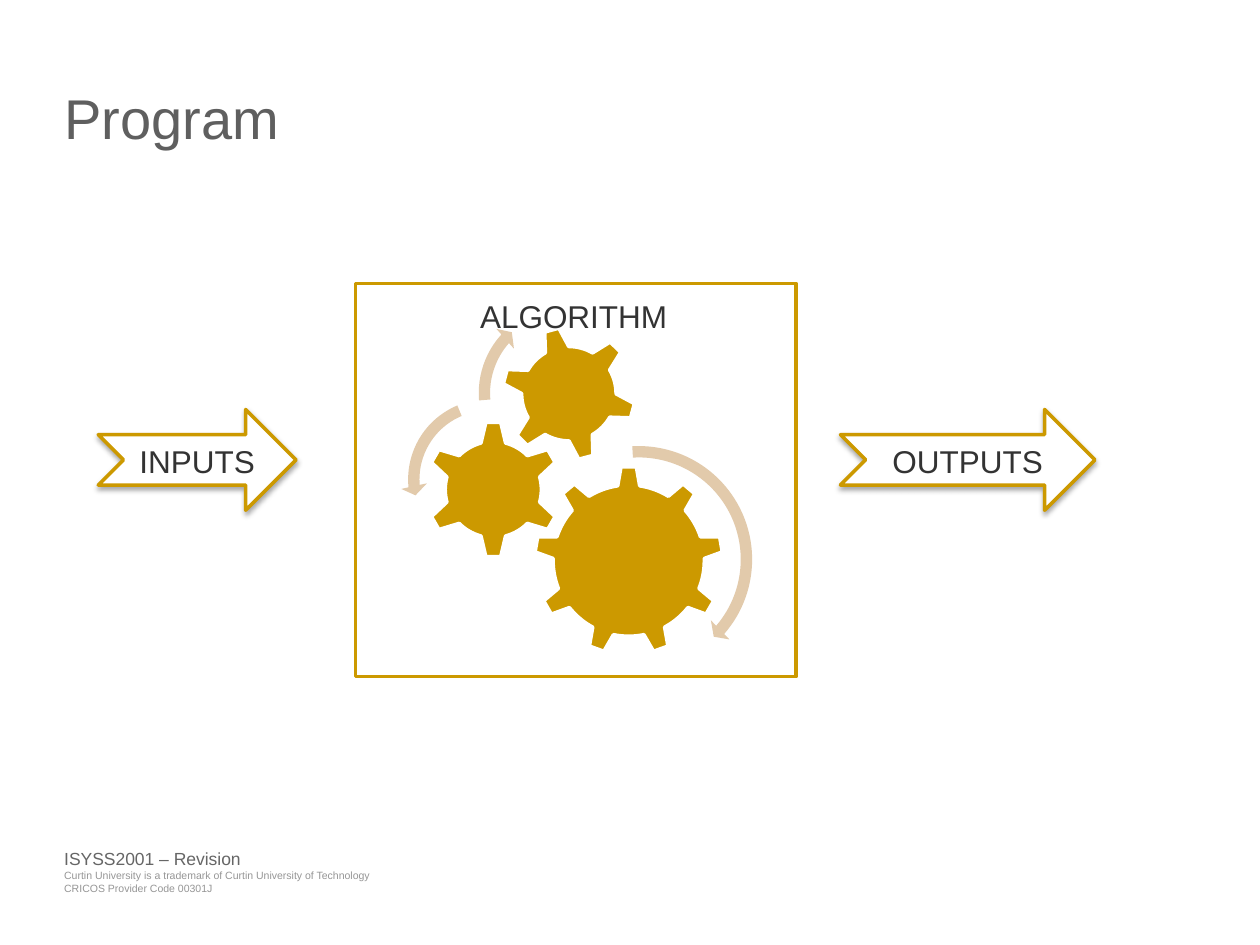
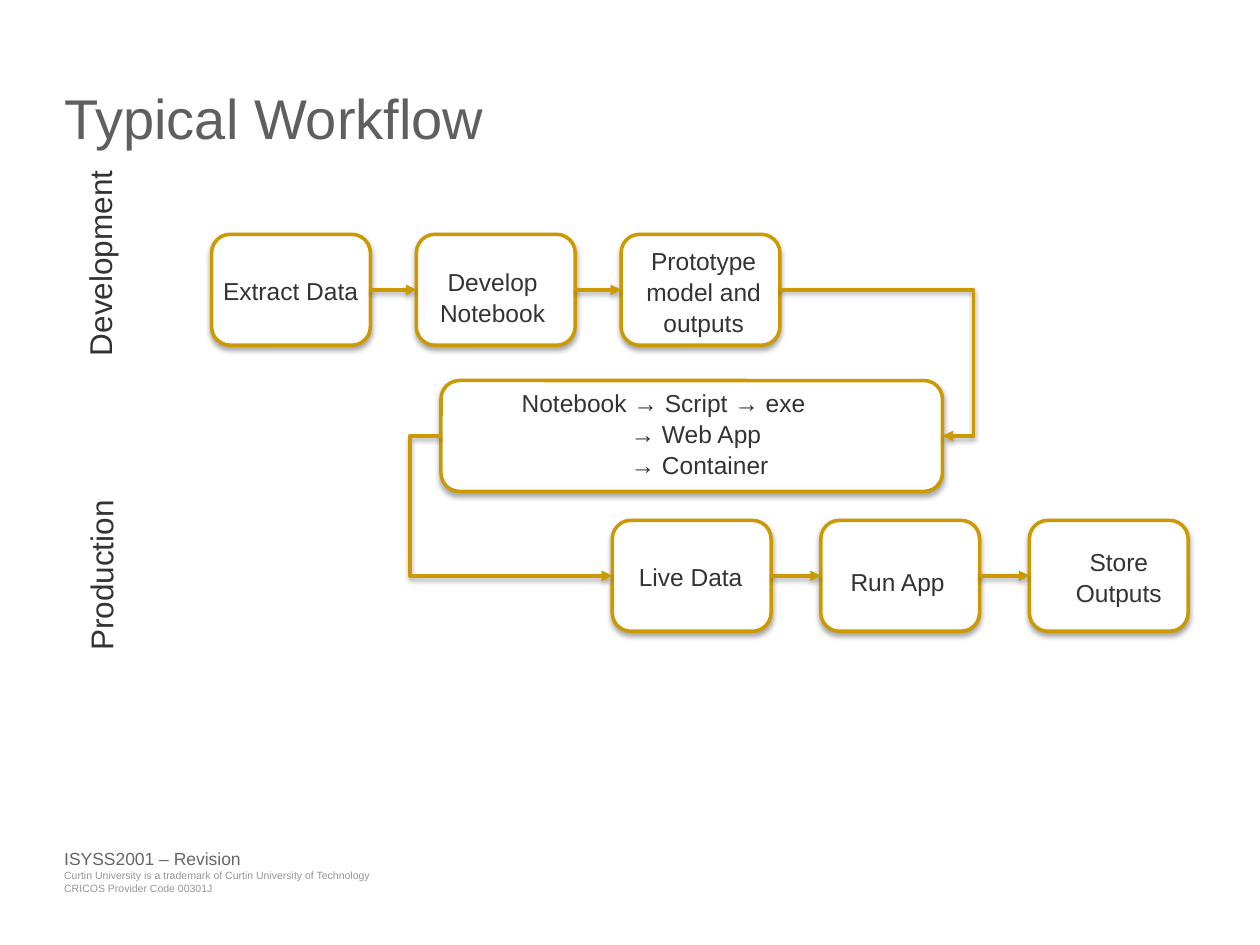
from dataclasses import dataclass
from lxml.etree import SubElement
from pptx import Presentation
from pptx.dml.color import RGBColor
from pptx.enum.shapes import MSO_CONNECTOR as LINK, MSO_SHAPE as SHAPE
from pptx.enum.text import MSO_ANCHOR as ANCHOR, PP_ALIGN as ALIGN
from pptx.oxml.ns import qn
from pptx.util import Inches, Pt

UNIT = Inches(10) // 100
COLS, ROWS = 100, 75


@dataclass(frozen=True)
class Theme:
    """Colours, type sizes and line settings shared by the slides."""
    font: str = "Arial"
    gold: str = "CC9900"
    sand: str = "E2CAAB"
    white: str = "FFFFFF"
    title: str = "5F5F5F"
    text: str = "333333"
    course: str = "666666"
    legal: str = "969696"
    title_size: int = 32
    label_size: int = 18
    step_size: int = 14
    course_size: int = 10
    legal_size: int = 6
    line_width: int = 2
    spacing: float = 1.05
    title_spacing: float = 1.1


T = Theme()


def grid(*cells):
    """Turn columns and rows of the slide grid into lengths."""
    return [round(c * UNIT) for c in cells]


def rgb(colour):
    """Return a colour object for a hex name."""
    return RGBColor.from_string(colour)


def apply(target, values):
    """Set each named attribute on the target."""
    for name, value in values.items():
        setattr(target, name, value)


def add_effects(sp, shadow):
    """Give a shape or connector a soft drop shadow or none."""
    effects = SubElement(sp._element.spPr, qn("a:effectLst"))
    if shadow:
        outer = SubElement(effects, qn("a:outerShdw"), blurRad="38100",
                           dist="23000", dir="5400000", rotWithShape="0")
        black = SubElement(outer, qn("a:srgbClr"), val="000000")
        SubElement(black, qn("a:alpha"), val="35000")


def write(tf, lines, size, colour=T.text, align=ALIGN.LEFT, inset=0.5,
          wrap=True, anchor=ANCHOR.TOP, spacing=T.spacing, indent=0):
    """Fill a text frame, indenting every line after the first."""
    margin = round(inset * UNIT)
    sides = ("left", "top", "right", "bottom")
    apply(tf, {f"margin_{side}": margin for side in sides})
    apply(tf, {"word_wrap": wrap, "vertical_anchor": anchor})
    for i, line in enumerate(lines):
        p = tf.add_paragraph() if i else tf.paragraphs[0]
        apply(p, {"alignment": align, "line_spacing": spacing})
        if i and indent:
            p._p.get_or_add_pPr().set("marL", str(round(indent * UNIT)))
        r = p.add_run()
        r.text = line
        apply(r.font, {"name": T.font, "size": Pt(size)})
        r.font.color.rgb = rgb(colour)


def add_text(s, at, lines, size, rotation=0, **style):
    """Add a text box at a grid place."""
    sp = s.shapes.add_textbox(*grid(*at))
    sp.rotation = rotation
    write(sp.text_frame, lines, size, **style)


def add_figure(s, kind, at, fill=None, line=None, shadow=False, turn=0, adj=()):
    """Add a preset shape at a grid place."""
    sp = s.shapes.add_shape(kind, *grid(*at))
    for i, value in enumerate(adj):
        sp.adjustments[i] = value
    sp.rotation = turn
    if fill:
        sp.fill.solid()
        sp.fill.fore_color.rgb = rgb(fill)
    else:
        sp.fill.background()
    if line:
        sp.line.color.rgb = rgb(line)
        sp.line.width = Pt(T.line_width)
    else:
        sp.line.fill.background()
    if shadow:
        add_effects(sp, True)
    else:
        sp.shadow.inherit = False
    return sp


def add_flow_arrow(s, at, label):
    """Add a labelled notched arrow."""
    sp = add_figure(s, SHAPE.NOTCHED_RIGHT_ARROW, at, T.white, T.gold, True)
    write(sp.text_frame, [label], T.label_size, align=ALIGN.CENTER,
          anchor=ANCHOR.MIDDLE)


def add_step(s, left, top, width=12.6):
    """Add an outlined, rounded workflow box."""
    return add_figure(s, SHAPE.ROUNDED_RECTANGLE, (left, top, width, 8.8),
                      T.white, T.gold, True)


def style_connector(cn):
    """Give a connector the gold line, shadow and arrowhead."""
    cn.line.color.rgb = rgb(T.gold)
    cn.line.width = Pt(T.line_width)
    SubElement(cn.line._get_or_add_ln(), qn("a:tailEnd"), type="triangle")
    add_effects(cn, True)


def join_row(s, steps):
    """Link neighbouring boxes from left to right."""
    for start, end in zip(steps, steps[1:]):
        cn = s.shapes.add_connector(LINK.STRAIGHT, 0, 0, 0, 0)
        cn.begin_connect(start, 3)
        cn.end_connect(end, 1)
        style_connector(cn)


def add_elbow(s, start, end, bend):
    """Add a bent arrow whose middle leg sits at a share of its width."""
    points = [v for x, sp in (start, end) for v in (x, sp.top + sp.height // 2)]
    cn = s.shapes.add_connector(LINK.ELBOW, *points)
    geometry = cn._element.spPr.find(qn("a:prstGeom"))
    guides = geometry.find(qn("a:avLst"))
    if guides is None:
        guides = SubElement(geometry, qn("a:avLst"))
    SubElement(guides, qn("a:gd"), name="adj1", fmla=f"val {round(bend * 100000)}")
    style_connector(cn)


def new_slide(prs, title):
    """Add a blank slide with the shared title and footer."""
    s = prs.slides.add_slide(prs.slide_layouts[6])
    add_text(s, (5.1, 68.9, 24.6, 1.6),
             ["Curtin University is a trademark of Curtin University of Technology",
              "CRICOS Provider Code 00301J"],
             T.legal_size, colour=T.legal, inset=0, wrap=False)
    add_text(s, (5.1, 67.2, 14.1, 1.7), ["ISYSS2001 – Revision"],
             T.course_size, colour=T.course, inset=0, wrap=False)
    add_text(s, (5.1, 6.1, 89.8, 10.9), [title], T.title_size,
             colour=T.title, inset=0, spacing=T.title_spacing)
    return s


def build_program(prs):
    """Show inputs passing through an algorithm to outputs."""
    s = new_slide(prs, "Program")
    add_flow_arrow(s, (7.8, 32.5, 15.7, 8), "INPUTS")
    add_flow_arrow(s, (66.7, 32.5, 20.2, 8), "OUTPUTS")
    gears = [(SHAPE.GEAR_9, 42.4, 37, 15, 0),
             (SHAPE.GEAR_6, 33.7, 33.4, 10.9, 0),
             (SHAPE.GEAR_6, 39.8, 25.9, 10.7, 345)]
    for kind, x, y, size, turn in gears:
        add_figure(s, kind, (x, y, size, size), T.gold, T.white, turn=turn)
    spins = [(SHAPE.CIRCULAR_ARROW, 41.1, 34.8, 19.2,
              (0.047, 2.99, 24.539, 160.027, 0.055)),
             (SHAPE.LEFT_CIRCULAR_ARROW, 31.8, 31.1, 13.9,
              (0.065, 4.3, 104.891, 148.378, 0.075)),
             (SHAPE.CIRCULAR_ARROW, 37.4, 23.7, 15,
              (0.06, 3.941, 133.138, 105.082, 0.07))]
    for kind, x, y, size, adj in spins:
        add_figure(s, kind, (x, y, size, size), T.sand, adj=adj)
    add_figure(s, SHAPE.RECTANGLE, (28.2, 22.5, 35, 31.2), line=T.gold)
    add_text(s, (37.6, 22.9, 16.1, 4), ["ALGORITHM"], T.label_size)


def build_workflow(prs):
    """Show the steps from development to production."""
    s = new_slide(prs, "Typical Workflow")
    for at, phase in [((-0.2, 18.8, 15.9, 4), "Development"),
                      ((1.3, 43.6, 13.1, 4), "Production")]:
        add_text(s, at, [phase], T.label_size, rotation=270, wrap=False)
    develop = [add_step(s, 16.8 + 16.25 * i, 18.6) for i in range(3)]
    produce = [add_step(s, 48.6 + 16.55 * i, 41.3) for i in range(3)]
    package = add_step(s, 35, 30.2, 39.8)
    join_row(s, develop)
    join_row(s, produce)
    last, first = develop[-1], produce[0]
    add_elbow(s, (last.left + last.width, last),
              (package.left + package.width, package), 1.19)
    add_elbow(s, (package.left, package), (first.left, first), -0.18)
    for at, label in [((17.2, 21.3, 11.8, 3.4), "Extract Data"),
                      ((67, 44.4, 8.8, 3.4), "Run App"),
                      ((50.2, 44, 9.3, 3.4), "Live Data")]:
        add_text(s, at, [label], T.step_size, wrap=False)
    for at, label in [((34.1, 20.6, 10, 5.7), "Develop Notebook"),
                      ((50.3, 18.9, 11.1, 8.1), "Prototype model and outputs"),
                      ((83.8, 42.8, 10, 5.7), "Store Outputs")]:
        add_text(s, at, [label], T.step_size, align=ALIGN.CENTER)
    add_text(s, (40.9, 30.2, 25.4, 8.1),
             ["Notebook → Script → exe", "→ Web App", "→ Container"],
             T.step_size, indent=8.65)


def main():
    """Build both slides and save the file."""
    prs = Presentation()
    prs.slide_width, prs.slide_height = grid(COLS, ROWS)
    build_program(prs)
    build_workflow(prs)
    prs.save("out.pptx")


if __name__ == "__main__":
    main()
